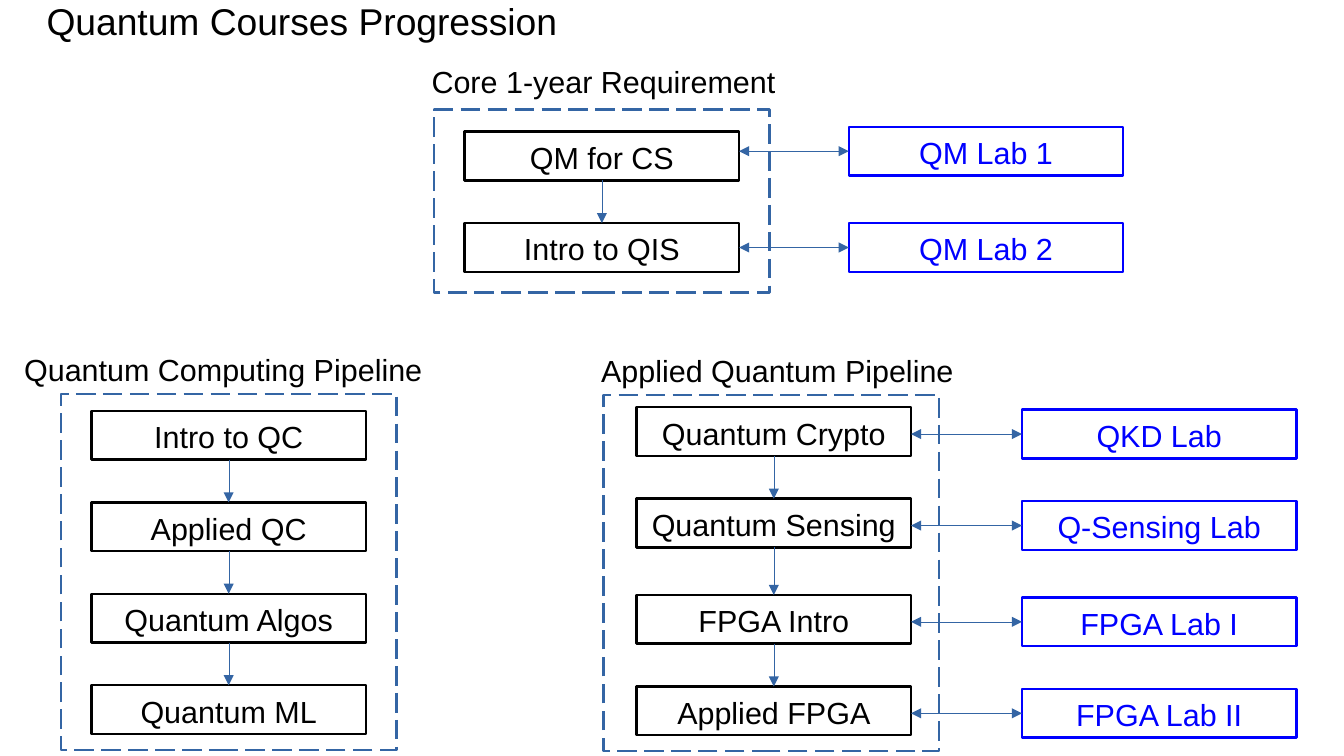
from dataclasses import dataclass
from itertools import pairwise

from lxml import etree
from pptx import Presentation
from pptx.dml.color import RGBColor
from pptx.enum.dml import MSO_LINE
from pptx.enum.shapes import MSO_CONNECTOR, MSO_SHAPE
from pptx.enum.text import MSO_ANCHOR, MSO_AUTO_SIZE, PP_ALIGN
from pptx.oxml.ns import qn
from pptx.util import Inches, Pt

RECTANGLE, STRAIGHT = MSO_SHAPE.RECTANGLE, MSO_CONNECTOR.STRAIGHT
LONG_DASH = MSO_LINE.LONG_DASH
LEFT, CENTER = PP_ALIGN.LEFT, PP_ALIGN.CENTER
TOP, MIDDLE = MSO_ANCHOR.TOP, MSO_ANCHOR.MIDDLE
GROW = MSO_AUTO_SIZE.SHAPE_TO_FIT_TEXT
TOP_SIDE, LEFT_SIDE, BOTTOM_SIDE = 0, 1, 2


@dataclass(frozen=True)
class Theme:
    """Colours, type sizes and measures of the slide."""
    font: str = "Arial"
    ink: RGBColor = RGBColor(0, 0, 0)
    lab: RGBColor = RGBColor(0, 0, 255)
    accent: RGBColor = RGBColor(0x34, 0x65, 0xA4)
    title_size: int = 22
    text_size: int = 18
    outline: float = 1.45
    hairline: float = 0.01
    box_width: float = 2.25
    box_height: float = 0.4
    frame_width: float = 2.75


THEME = Theme()

TRACKS = [
    {"label": "Core 1-year Requirement", "label_at": (3.44, 0.47, 3.02, 0.38),
     "frame": (3.56, 0.9, THEME.frame_width, 1.5), "left": 3.81, "lab_left": 6.96,
     "rows": [("QM for CS", 1.08, "QM Lab 1", 1.04),
              ("Intro to QIS", 1.83, "QM Lab 2", 1.83)]},
    {"label": "Quantum Computing Pipeline", "label_at": (0.1, 2.83, 3.5, 0.38),
     "frame": (0.5, 3.23, THEME.frame_width, 2.92), "left": 0.75, "lab_left": None,
     "rows": [(name, 3.37 + 0.75 * index, None, None) for index, name in enumerate(
         ["Intro to QC", "Applied QC", "Quantum Algos", "Quantum ML"])]},
    {"label": "Applied Quantum Pipeline", "label_at": (4.83, 2.84, 3.09, 0.38),
     "frame": (4.95, 3.24, THEME.frame_width, 2.92), "left": 5.22, "lab_left": 8.38,
     "rows": [(name, top, lab, top + 0.02) for name, top, lab in [
         ("Quantum Crypto", 3.34, "QKD Lab"),
         ("Quantum Sensing", 4.09, "Q-Sensing Lab"),
         ("FPGA Intro", 4.88, "FPGA Lab I"),
         ("Applied FPGA", 5.63, "FPGA Lab II")]]},
]


def set_values(target, values):
    """Set each named attribute of the target."""
    for name, value in values.items():
        setattr(target, name, value)


def write_text(shape, text, color, size, align, anchor, wrap, margins):
    """Write one formatted line of text into a shape."""
    across, down = map(Inches, margins)
    frame = shape.text_frame
    set_values(frame, {"margin_left": across, "margin_right": across,
                       "margin_top": down, "margin_bottom": down,
                       "word_wrap": wrap, "vertical_anchor": anchor,
                       "auto_size": GROW})
    para = frame.paragraphs[0]
    para.alignment = align
    span = para.add_run()
    span.text = text
    set_values(span.font, {"name": THEME.font, "size": Pt(size)})
    span.font.color.rgb = color


def add_label(page, place, text, size=THEME.text_size, align=LEFT,
              anchor=TOP, wrap=False, margins=(0.1, 0.05)):
    """Add a text box."""
    box = page.shapes.add_textbox(*map(Inches, place))
    write_text(box, text, THEME.ink, size, align, anchor, wrap, margins)


def add_outline(page, place, color):
    """Add an unfilled rectangle with a coloured outline."""
    box = page.shapes.add_shape(RECTANGLE, *map(Inches, place))
    box.shadow.inherit = False
    box.fill.background()
    box.line.color.rgb = color
    box.line.width = Pt(THEME.outline)
    return box


def add_box(page, left, top, text, color):
    """Add a course or lab box."""
    box = add_outline(page, (left, top, THEME.box_width, THEME.box_height), color)
    write_text(box, text, color, THEME.text_size, CENTER, TOP, True, (0.11, 0.06))
    return box


def add_arrow(page, start, end, heads):
    """Add a hairline arrow with triangles at the named ends."""
    arrow = page.shapes.add_connector(STRAIGHT, *start, *end)
    arrow.line.color.rgb = THEME.accent
    arrow.line.width = Pt(THEME.hairline)
    line = arrow.line._get_or_add_ln()
    for head in heads:
        etree.SubElement(line, qn(head), type="triangle")
    etree.SubElement(arrow._element.spPr, qn("a:effectLst"))
    return arrow


def link_courses(page, upper, lower):
    """Point from one course down to the next."""
    arrow = add_arrow(page, (0, 0), (0, 0), ["a:tailEnd"])
    arrow.begin_connect(upper, BOTTOM_SIDE)
    arrow.end_connect(lower, TOP_SIDE)


def link_lab(page, course, lab):
    """Join a course and its lab with a level two-way arrow."""
    level = lab.top + lab.height // 2
    arrow = add_arrow(page, (course.left + course.width, level), (lab.left, level),
                      ["a:headEnd", "a:tailEnd"])
    arrow.end_connect(lab, LEFT_SIDE)


def add_track(page, track):
    """Add a framed column of courses with any labs beside it."""
    add_label(page, track["label_at"], track["label"])
    frame = add_outline(page, track["frame"], THEME.accent)
    frame.line.dash_style = LONG_DASH
    courses = []
    for name, top, lab_name, lab_top in track["rows"]:
        course = add_box(page, track["left"], top, name, THEME.ink)
        courses.append(course)
        if lab_name:
            lab = add_box(page, track["lab_left"], lab_top, lab_name, THEME.lab)
            link_lab(page, course, lab)
    for upper, lower in pairwise(courses):
        link_courses(page, upper, lower)


def main():
    """Build the slide and save it."""
    deck = Presentation()
    set_values(deck, {"slide_width": Inches(11.02), "slide_height": Inches(6.2)})
    page = deck.slides.add_slide(deck.slide_layouts[6])
    add_label(page, (0, 0, 4.95, 0.34), "Quantum Courses Progression",
              THEME.title_size, CENTER, MIDDLE, True, (0, 0))
    for track in TRACKS:
        add_track(page, track)
    deck.save("out.pptx")


if __name__ == "__main__":
    main()
